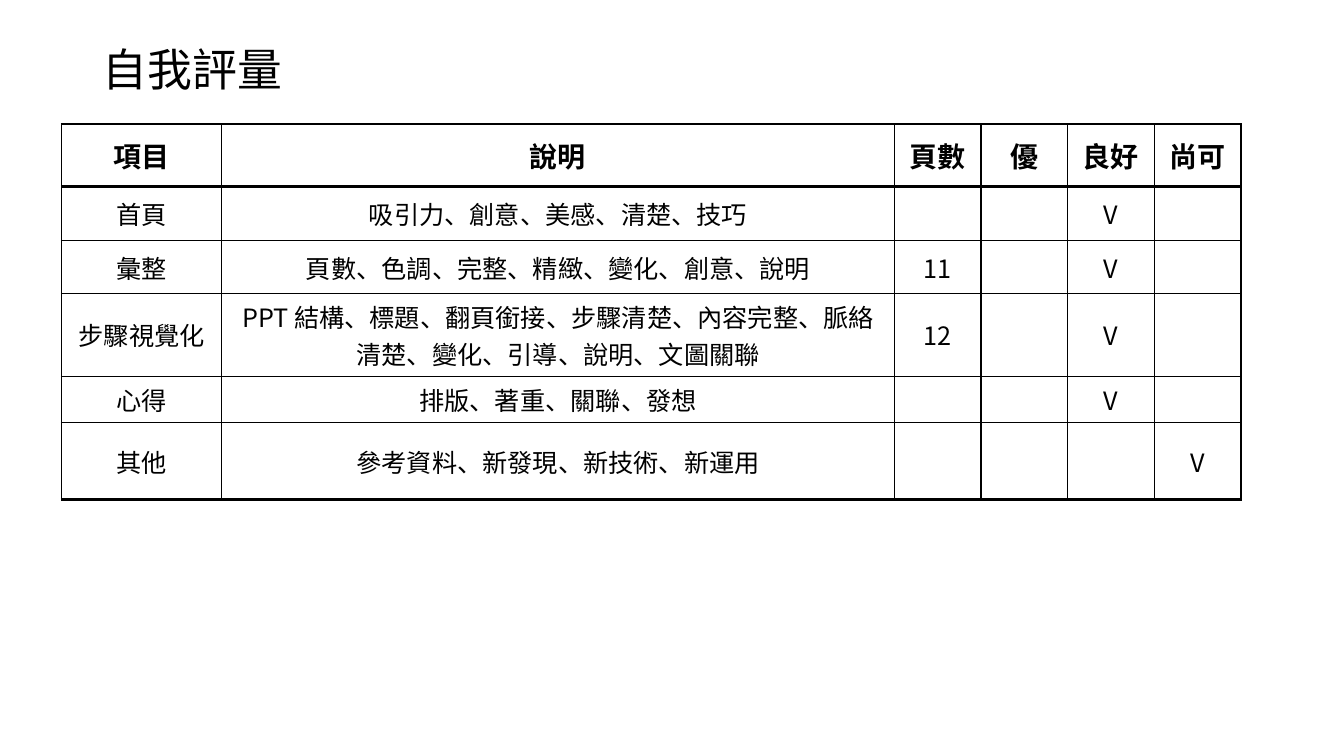
from lxml.etree import SubElement
from pptx import Presentation
from pptx.dml.color import RGBColor
from pptx.enum.text import MSO_ANCHOR as Anchor, PP_ALIGN as Align
from pptx.oxml.ns import qn
from pptx.util import Inches, Pt

FONT = "Noto Sans CJK SC"
BLACK, WHITE = "000000", "FFFFFF"
THIN, THICK = 1, 3


def color(hex_value):
    return RGBColor.from_string(hex_value)


def write(frame, text, align, size, bold=False):
    frame.text = text
    frame.vertical_anchor = Anchor.MIDDLE
    paragraph = frame.paragraphs[0]
    paragraph.alignment = align
    for run in paragraph.runs:
        for name, value in {"name": FONT, "size": Pt(size), "bold": bold}.items():
            setattr(run.font, name, value)
        run.font.color.rgb = color(BLACK)
        SubElement(run.font._element, qn("a:ea"), typeface=FONT)


prs = Presentation()
prs.slide_width, prs.slide_height = Inches(13.33), Inches(7.5)
slide = prs.slides.add_slide(prs.slide_layouts[5])

# Title
title = slide.shapes.title
title_place = {"left": 0.92, "top": 0.4, "width": 11.5, "height": 0.62}
for name, value in title_place.items():
    setattr(title, name, Inches(value))
write(title.text_frame, "自我評量", Align.LEFT, 32)
title.text_frame.paragraphs[0].line_spacing = 0.9

# Evaluation table
evaluation = [
    ["項目", "說明", "頁數", "優", "良好", "尚可"],
    ["首頁", "吸引力、創意、美感、清楚、技巧", "", "", "V", ""],
    ["彙整", "頁數、色調、完整、精緻、變化、創意、說明", "11", "", "V", ""],
    ["步驟視覺化", "PPT 結構、標題、翻頁銜接、步驟清楚、內容完整、脈絡清楚、變化、引導、說明、文圖關聯",
     "12", "", "V", ""],
    ["心得", "排版、著重、關聯、發想", "", "", "V", ""],
    ["其他", "參考資料、新發現、新技術、新運用", "", "", "", "V"],
]
column_widths = [1.59, 6.67] + [0.86] * 4
row_heights = [0.62, 0.54, 0.52, 0.75, 0.43, 0.76]
table = slide.shapes.add_table(
    len(row_heights), len(column_widths), Inches(0.61), Inches(1.23),
    Inches(sum(column_widths)), Inches(sum(row_heights))).table
table.first_row = table.horz_banding = False
for column, width in zip(table.columns, column_widths):
    column.width = Inches(width)
for row, height in zip(table.rows, row_heights):
    row.height = Inches(height)

# Cells: thick rules below the header and the last row
last = len(evaluation) - 1
for r, entries in enumerate(evaluation):
    borders = {
        "a:lnL": THIN,
        "a:lnR": THIN,
        "a:lnT": THICK if r == 1 else THIN,
        "a:lnB": THICK if r in (0, last) else THIN,
    }
    for c, entry in enumerate(entries):
        cell = table.cell(r, c)
        write(cell.text_frame, entry, Align.CENTER, 20 if r == 0 else 18, r == 0)
        cell.vertical_anchor = Anchor.MIDDLE
        cell_format = cell._tc.get_or_add_tcPr()
        for side, weight in borders.items():
            line = SubElement(cell_format, qn(side), w=str(Pt(weight)))
            SubElement(SubElement(line, qn("a:solidFill")), qn("a:srgbClr"), val=BLACK)
        cell.fill.solid()
        cell.fill.fore_color.rgb = color(WHITE)

prs.save("out.pptx")
